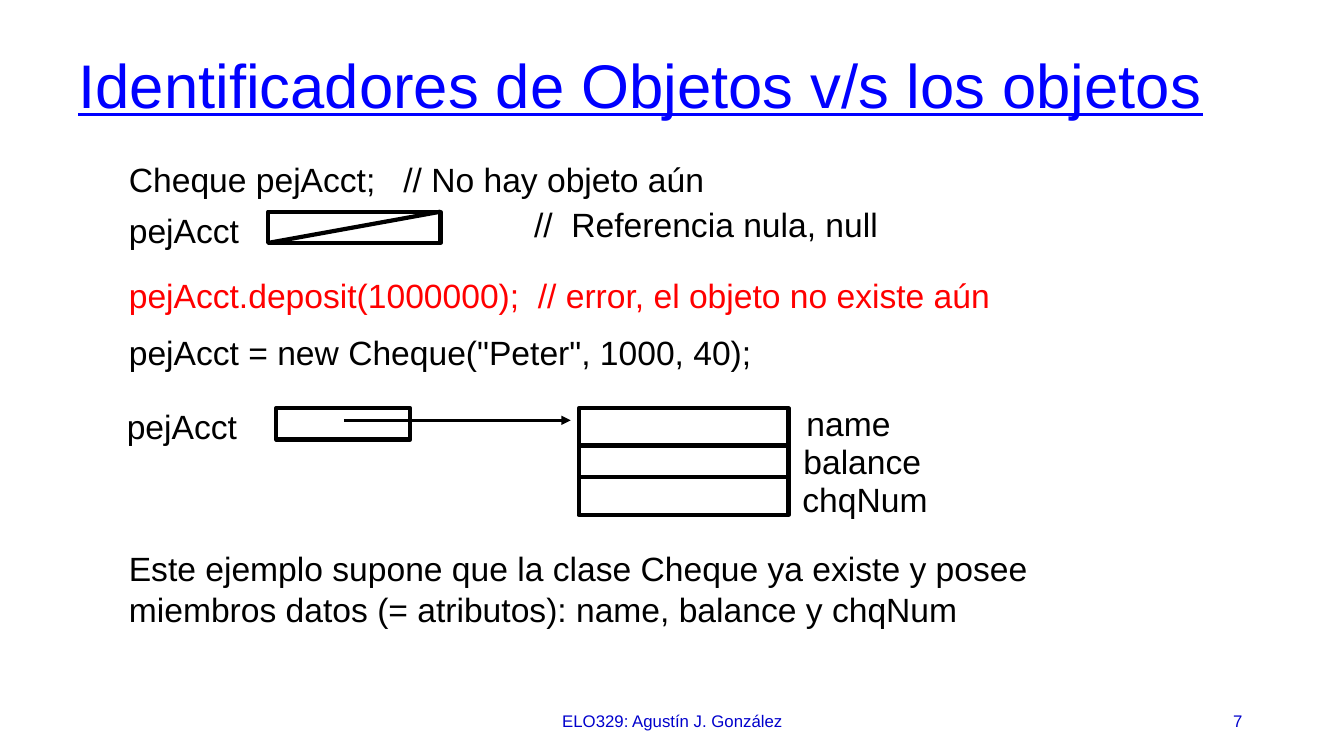
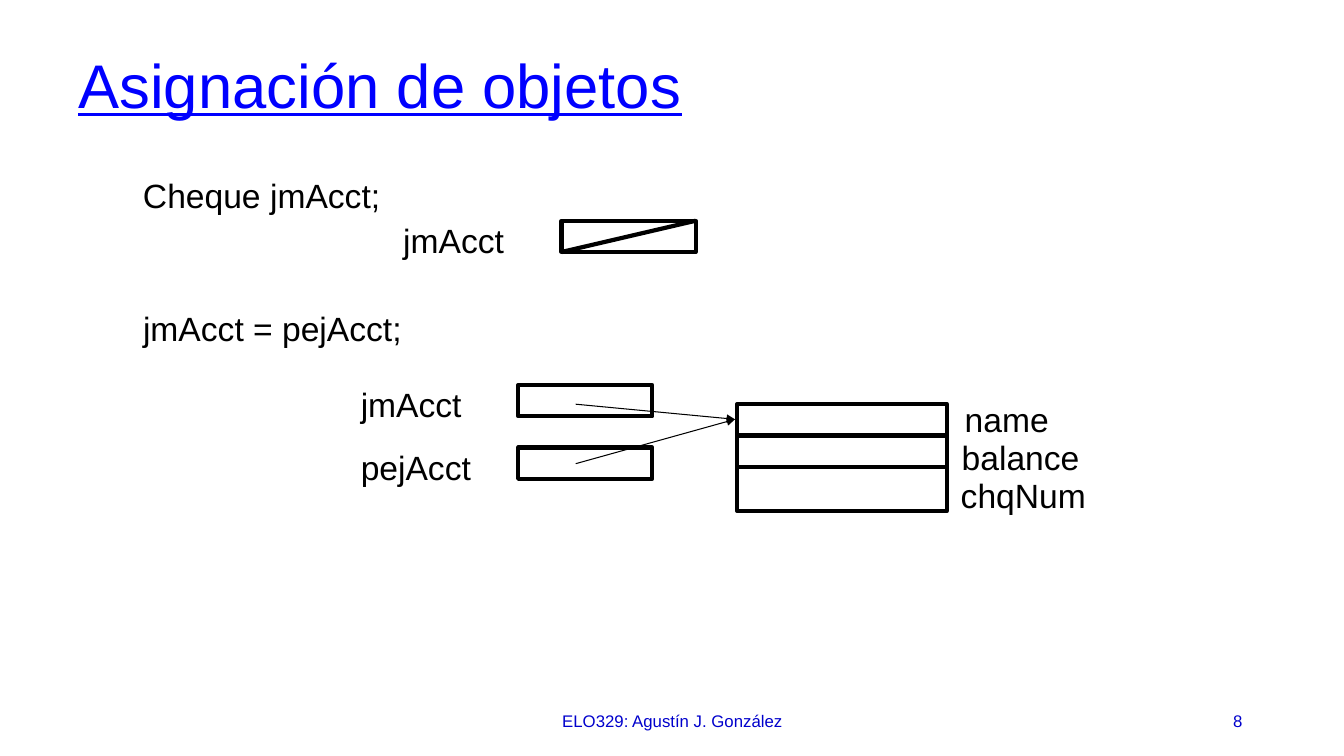
from collections import namedtuple
from dataclasses import dataclass

from lxml.etree import SubElement
from pptx import Presentation
from pptx.dml.color import RGBColor
from pptx.enum.shapes import MSO_CONNECTOR, MSO_SHAPE
from pptx.enum.text import MSO_ANCHOR, MSO_AUTO_SIZE, PP_ALIGN
from pptx.oxml.ns import qn
from pptx.util import Inches, Pt

Box = namedtuple("Box", "left top width height")


@dataclass(frozen=True)
class Theme:
    """Colours, font, type sizes and line widths of the deck."""

    title: RGBColor = RGBColor(0x00, 0x00, 0xFF)
    footer: RGBColor = RGBColor(0x00, 0x00, 0xCC)
    ink: RGBColor = RGBColor(0x00, 0x00, 0x00)
    error: RGBColor = RGBColor(0xFF, 0x00, 0x00)
    font: str = "Arial"
    title_size: float = 44
    body_size: float = 24
    footer_size: float = 12
    space_before: float = 15
    outline: float = 3
    arrow: float = 2.25
    thin_arrow: float = 0.74


THEME = Theme()
TITLE_BOX = Box(0.68, 0.4, 12.08, 0.95)
AUTHOR_BOX = Box(4.42, 6.95, 4.5, 0.4)
NUMBER_BOX = Box(9.42, 6.95, 3, 0.4)
LINE_HEIGHT = 0.51
CELL_WIDTH, CELL_HEIGHT = 1.33, 0.31
FIELDS = (("name", 0.08, 1.04), ("balance", 0.05, 1.38), ("chqNum", 0.04, 1.45))
FIELD_PITCH = 0.375


def write(frame, words, size, color, align=PP_ALIGN.LEFT):
    """Fill a text frame with one styled paragraph and return it."""
    frame.text = words
    paragraph = frame.paragraphs[0]
    paragraph.alignment = align
    for run in paragraph.runs:
        run.font.name = THEME.font
        run.font.size = Pt(size)
        run.font.color.rgb = color
    return paragraph


def add_band_text(slide, box, words, size, color, align=PP_ALIGN.LEFT):
    """Write a title or footer centred vertically in its box."""
    frame = slide.shapes.add_textbox(*map(Inches, box)).text_frame
    frame.word_wrap = True
    frame.vertical_anchor = MSO_ANCHOR.MIDDLE
    return write(frame, words, size, color, align)


def add_statement(slide, box, words, color=THEME.ink, wrap=True):
    """Write body text in an unpainted outline that fits the box."""
    left, top, width, height = map(Inches, box)
    builder = slide.shapes.build_freeform(left, top)
    builder.add_line_segments(
        ((left + width, top), (left + width, top + height), (left, top + height)))
    statement = builder.convert_to_shape()
    statement.shadow.inherit = False
    statement.fill.background()
    statement.line.fill.background()
    frame = statement.text_frame
    frame.word_wrap = wrap
    frame.auto_size = MSO_AUTO_SIZE.SHAPE_TO_FIT_TEXT
    frame.vertical_anchor = MSO_ANCHOR.TOP
    paragraph = write(frame, words, THEME.body_size, color)
    if wrap:
        paragraph.space_before = Pt(THEME.space_before)


def add_line(slide, start, end, weight=THEME.outline, arrow=False):
    """Join two points with a straight line, with an arrowhead if asked."""
    line = slide.shapes.add_connector(
        MSO_CONNECTOR.STRAIGHT, *map(Inches, (*start, *end)))
    line.line.color.rgb = THEME.ink
    line.line.width = Pt(weight)
    if arrow:
        SubElement(line.line._get_or_add_ln(), qn("a:tailEnd"), type="triangle")
    SubElement(line._element.spPr, qn("a:effectLst"))


def add_frame(slide, box):
    """Outline the box as a piece of memory."""
    frame = slide.shapes.add_shape(MSO_SHAPE.RECTANGLE, *map(Inches, box))
    frame.shadow.inherit = False
    frame.fill.background()
    frame.line.color.rgb = THEME.ink
    frame.line.width = Pt(THEME.outline)


def add_reference(slide, name, label, cell, null=False):
    """Draw a named reference cell, struck through when it is null."""
    add_frame(slide, cell)
    if null:
        add_line(slide, (cell.left, cell.top + cell.height),
                 (cell.left + cell.width, cell.top))
    add_statement(slide, label, name)


def add_account(slide, box, first_divider):
    """Draw the object with its three fields named on the right."""
    add_frame(slide, box)
    right = box.left + box.width
    for offset in (first_divider, first_divider + CELL_HEIGHT):
        add_line(slide, (box.left, box.top + offset), (right, box.top + offset))
    for row, (field, gap, width) in enumerate(FIELDS):
        top = box.top - 0.1 + row * FIELD_PITCH
        add_statement(slide, Box(right + gap, top, width, LINE_HEIGHT), field, wrap=False)


def add_page(deck, title, number):
    """Add a slide with the shared title and footer."""
    slide = deck.slides.add_slide(deck.slide_layouts[6])
    heading = add_band_text(slide, TITLE_BOX, title, THEME.title_size, THEME.title)
    heading.line_spacing = 0.9
    heading.runs[0].font.underline = True
    for box, words, align in (
            (AUTHOR_BOX, "ELO329: Agustín J. González", PP_ALIGN.CENTER),
            (NUMBER_BOX, str(number), PP_ALIGN.RIGHT)):
        add_band_text(slide, box, words, THEME.footer_size, THEME.footer, align)
    return slide


def build_identifiers(deck):
    """Build the slide on identifiers versus objects."""
    slide = add_page(deck, "Identificadores de Objetos v/s los objetos", 7)
    for left, top, width, statement, color in (
            (1.18, 2.68, 9.5,
             "pejAcct.deposit(1000000);  // error, el objeto no existe aún", THEME.error),
            (1.18, 3.24, 7.32, 'pejAcct = new Cheque("Peter", 1000, 40);', THEME.ink),
            (1.18, 1.53, 7.5, "Cheque pejAcct;   // No hay objeto aún", THEME.ink),
            (5.2, 1.97, 3.63, "//  Referencia nula, null", THEME.ink)):
        add_statement(slide, Box(left, top, width, LINE_HEIGHT), statement, color)
    add_reference(slide, "pejAcct", Box(1.18, 2.03, 1.71, LINE_HEIGHT),
                  Box(2.66, 2.1, 1.71, CELL_HEIGHT), null=True)
    add_reference(slide, "pejAcct", Box(1.16, 3.98, 1.47, LINE_HEIGHT),
                  Box(2.74, 4.05, CELL_WIDTH, CELL_HEIGHT))
    add_account(slide, Box(5.74, 4.05, 2.08, 1.06), 0.37)
    add_line(slide, (3.41, 4.17), (5.66, 4.17), THEME.arrow, arrow=True)
    add_statement(slide, Box(1.18, 5.39, 9.2, 0.91),
                  "Este ejemplo supone que la clase Cheque ya existe y posee\v"
                  "miembros datos (= atributos): name, balance y chqNum", wrap=False)


def build_assignment(deck):
    """Build the slide on object assignment."""
    slide = add_page(deck, "Asignación de objetos", 8)
    for top, width, statement in (
            (1.69, 2.67, "Cheque jmAcct;"), (3.01, 3.42, "jmAcct = pejAcct;")):
        add_statement(slide, Box(1.32, top, width, LINE_HEIGHT), statement)
    add_reference(slide, "jmAcct", Box(3.9, 2.13, 1.58, LINE_HEIGHT),
                  Box(5.57, 2.19, CELL_WIDTH, CELL_HEIGHT), null=True)
    add_account(slide, Box(7.31, 4.01, 2.08, 1.06), CELL_HEIGHT)
    for name, top, width, arrow_top in (
            ("pejAcct", 4.44, 1.42, 4.6), ("jmAcct", 3.82, 1.5, 4.01)):
        add_reference(slide, name, Box(3.48, top - 0.06, width, LINE_HEIGHT),
                      Box(5.14, top, CELL_WIDTH, CELL_HEIGHT))
        add_line(slide, (5.71, arrow_top), (7.29, 4.16), THEME.thin_arrow, arrow=True)


def main():
    """Build and save the deck."""
    deck = Presentation()
    deck.slide_width, deck.slide_height = Inches(13.33), Inches(7.5)
    build_identifiers(deck)
    build_assignment(deck)
    deck.save("out.pptx")


main()
